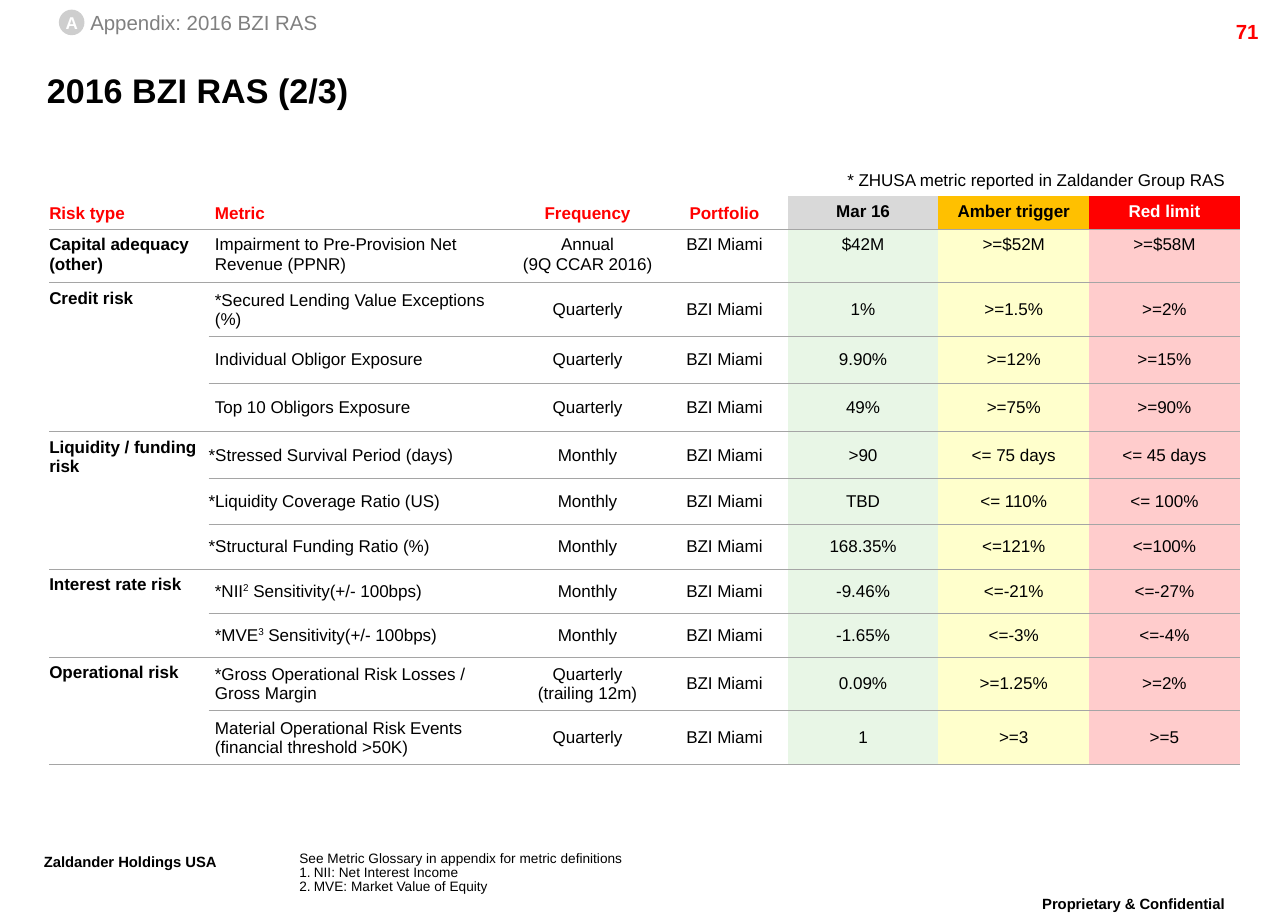
from dataclasses import dataclass

from lxml.etree import SubElement
from pptx import Presentation
from pptx.dml.color import RGBColor
from pptx.enum.shapes import MSO_SHAPE
from pptx.enum.text import MSO_ANCHOR, PP_ALIGN
from pptx.oxml.ns import qn
from pptx.util import Cm, Pt


@dataclass(frozen=True)
class Theme:
    font: str = "Arial"
    black: str = "000000"
    white: str = "FFFFFF"
    red: str = "FF0000"
    gray: str = "808080"
    badge: str = "CECECE"
    rule: str = "A5A5A5"
    heads: tuple = ("D9D9D9", "FFC000", "FF0000")
    tints: tuple = ("E8F6E6", "FFFFCC", "FFCCCC")
    title: int = 20
    foot: int = 15
    label: int = 12
    body: int = 10
    note: int = 8
    plain: str = "{2D5ABB26-0587-4C30-8999-92F81FD0307C}"


THEME = Theme()
LEFT, MID, RIGHT = PP_ALIGN.LEFT, PP_ALIGN.CENTER, PP_ALIGN.RIGHT
TOP, CORE, BASE = MSO_ANCHOR.TOP, MSO_ANCHOR.MIDDLE, MSO_ANCHOR.BOTTOM
UNIT = "BZI Miami"
HEADS = ("Risk type", "Metric", "Frequency", "Portfolio",
         "Mar 16", "Amber trigger", "Red limit")
# An empty risk type continues the one above.
RISKS = (
    ("Capital adequacy (other)", "Impairment to Pre-Provision Net Revenue (PPNR)",
     "Annual\n(9Q CCAR 2016)", UNIT, "$42M", ">=$52M", ">=$58M"),
    ("Credit risk", "*Secured Lending Value Exceptions (%)",
     "Quarterly", UNIT, "1%", ">=1.5%", ">=2%"),
    ("", "Individual Obligor Exposure", "Quarterly", UNIT, "9.90%", ">=12%", ">=15%"),
    ("", "Top 10 Obligors Exposure", "Quarterly", UNIT, "49%", ">=75%", ">=90%"),
    ("Liquidity / funding risk", "*Stressed Survival Period (days)",
     "Monthly", UNIT, ">90", "<= 75 days", "<= 45 days"),
    ("", "*Liquidity Coverage Ratio (US)",
     "Monthly", UNIT, "TBD", "<= 110%", "<= 100%"),
    ("", "*Structural Funding Ratio (%)",
     "Monthly", UNIT, "168.35%", "<=121%", "<=100%"),
    ("Interest rate risk", "*NII^2^ Sensitivity(+/- 100bps)",
     "Monthly", UNIT, "-9.46%", "<=-21%", "<=-27%"),
    ("", "*MVE^3^ Sensitivity(+/- 100bps)",
     "Monthly", UNIT, "-1.65%", "<=-3%", "<=-4%"),
    ("Operational risk", "*Gross Operational Risk Losses / Gross Margin",
     "Quarterly\n(trailing 12m)", UNIT, "0.09%", ">=1.25%", ">=2%"),
    ("", "Material Operational Risk Events (financial threshold >50K)",
     "Quarterly", UNIT, "1", ">=3", ">=5"),
)
WIDTHS = (3.3, 6.32, 3.05, 2.62, 3.12, 3.12, 3.12)
HEIGHTS = (0.69, 1.1, 1.1, 0.97, 1, 0.98, 0.94, 0.93, 0.91, 0.91, 1.1, 1.12)
FLUSH = (5, 6, 7)


def write(frame, text, size=THEME.body, color=THEME.black, bold=False,
          align=LEFT, space=None, list_from=None):
    """Fill a frame: each line is a paragraph, and ^...^ marks superscript."""
    for i, line in enumerate(text.split("\n")):
        para = frame.add_paragraph() if i else frame.paragraphs[0]
        para.alignment = align
        listed = list_from is not None and i >= list_from
        if space and (list_from is None or listed):
            para.line_spacing = space
        if listed:
            props = para._p.get_or_add_pPr()
            props.set("marL", str(Cm(0.3)))
            props.set("indent", str(-Cm(0.3)))
            SubElement(props, qn("a:buAutoNum"), type="arabicPeriod")
        for j, part in enumerate(line.split("^")):
            if not part:
                continue
            run = para.add_run()
            run.text = part
            font = run.font
            font.name, font.size, font.bold = THEME.font, Pt(size), bold
            font.color.rgb = RGBColor.from_string(color)
            if j % 2:
                run._r.get_or_add_rPr().set("baseline", "30000")


def paint(item, color):
    item.fill.solid()
    item.fill.fore_color.rgb = RGBColor.from_string(color)


def pad(item, *sides):
    """Set the left, top, right and bottom margins in centimetres."""
    (item.margin_left, item.margin_top,
     item.margin_right, item.margin_bottom) = map(Cm, sides)


def edge(cell, *tags):
    """Draw grey rules on the named sides of a cell, ahead of its fill."""
    props = cell._tc.get_or_add_tcPr()
    for i, tag in enumerate(tags):
        line = SubElement(props, qn(tag), w=str(Pt(0.75)))
        fill = SubElement(line, qn("a:solidFill"))
        SubElement(fill, qn("a:srgbClr"), val=THEME.rule)
        props.insert(i, line)


class Deck:
    def __init__(self, theme):
        self.theme = theme
        self.show = Presentation()
        self.show.slide_width, self.show.slide_height = Cm(26.67), Cm(19.05)
        self.slide = self.show.slides.add_slide(self.show.slide_layouts[5])

    def place(self, shape, text, anchor=TOP, **form):
        frame = shape.text_frame
        frame.word_wrap = True
        frame.vertical_anchor = anchor
        pad(frame, 0, 0, 0, 0)
        write(frame, text, **form)

    def title(self, text, *box):
        shape = self.slide.shapes.title
        shape.left, shape.top, shape.width, shape.height = map(Cm, box)
        self.place(shape, text, CORE, size=self.theme.title, bold=True)

    def text(self, text, *box, **form):
        self.place(self.slide.shapes.add_textbox(*map(Cm, box)), text, **form)

    def badge(self, text, *box):
        shape = self.slide.shapes.add_shape(MSO_SHAPE.OVAL, *map(Cm, box))
        shape.shadow.inherit = False
        paint(shape, self.theme.badge)
        shape.line.fill.background()
        self.place(shape, text, CORE, color=self.theme.white, bold=True, align=MID)

    def cell(self, cell, row, col, text):
        look, head = self.theme, row == 0
        side = 0 if col == 1 and row in FLUSH else 0.13
        pad(cell, 0 if col == 0 else side, side, side, side)
        color = look.black
        if head:
            cell.vertical_anchor = BASE if col < 4 else TOP
            color = {4: look.black, 5: look.black, 6: look.white}.get(col, look.red)
        else:
            cell.vertical_anchor = CORE if col and row > 1 else TOP
        if col > 3:
            paint(cell, (look.heads if head else look.tints)[col - 4])
        else:
            cell.fill.background()
        write(cell.text_frame, text, color=color, bold=head or col == 0,
              align=MID if col > 1 else LEFT)

    def table(self, rows, left, top):
        grid = self.slide.shapes.add_table(
            len(rows), len(WIDTHS), Cm(left), Cm(top),
            Cm(sum(WIDTHS)), Cm(sum(HEIGHTS))).table
        grid._tbl.tblPr[0].text = self.theme.plain
        grid.first_row = grid.horz_banding = False
        for col, width in zip(grid.columns, WIDTHS):
            col.width = Cm(width)
        for row, height in zip(grid.rows, HEIGHTS):
            row.height = Cm(height)
        starts = [i for i, row in enumerate(rows) if row[0]] + [len(rows)]
        for first, after in zip(starts, starts[1:]):
            if after - first > 1:
                grid.cell(first, 0).merge(grid.cell(after - 1, 0))
        for i, row in enumerate(rows):
            for j, text in enumerate(row):
                cell = grid.cell(i, j)
                if not cell.is_spanned:
                    self.cell(cell, i, j, text)
                    edge(cell, *(["a:lnT"] if i else []), "a:lnB")
                elif i == len(rows) - 1:
                    edge(cell, "a:lnB")


def main():
    deck, look = Deck(THEME), THEME
    deck.title("2016 BZI RAS (2/3)", 0.97, 1.26, 24.08, 1.22)
    deck.badge("A", 1.22, 0.2, 0.53, 0.53)
    deck.text("Appendix: 2016 BZI RAS", 1.87, 0.2, 6, 0.51, anchor=CORE,
              size=look.label, color=look.gray)
    deck.text("71", 23.77, 0.4, 2.29, 0.5, size=look.label, color=look.red,
              bold=True, align=RIGHT)
    deck.text("* ZHUSA metric reported in Zaldander Group RAS",
              17.22, 3.57, 8.46, 0.5, align=MID, space=0.86)
    deck.table((HEADS, *RISKS), 1.02, 4.06)
    deck.text("See Metric Glossary in appendix for metric definitions\n"
              "NII: Net Interest Income\nMVE: Market Value of Equity",
              6.2, 17.6, 13.89, 0.94, size=look.note, space=0.86, list_from=1)
    foot = dict(size=look.foot, bold=True, space=0.86)
    deck.text("^Zaldander Holdings USA^", 0.91, 17.68, 4.6, 0.64, **foot)
    deck.text("^Proprietary & Confidential^", 20.7, 18.55, 5.54, 0.5,
              align=MID, **foot)
    deck.show.save("out.pptx")


if __name__ == "__main__":
    main()
